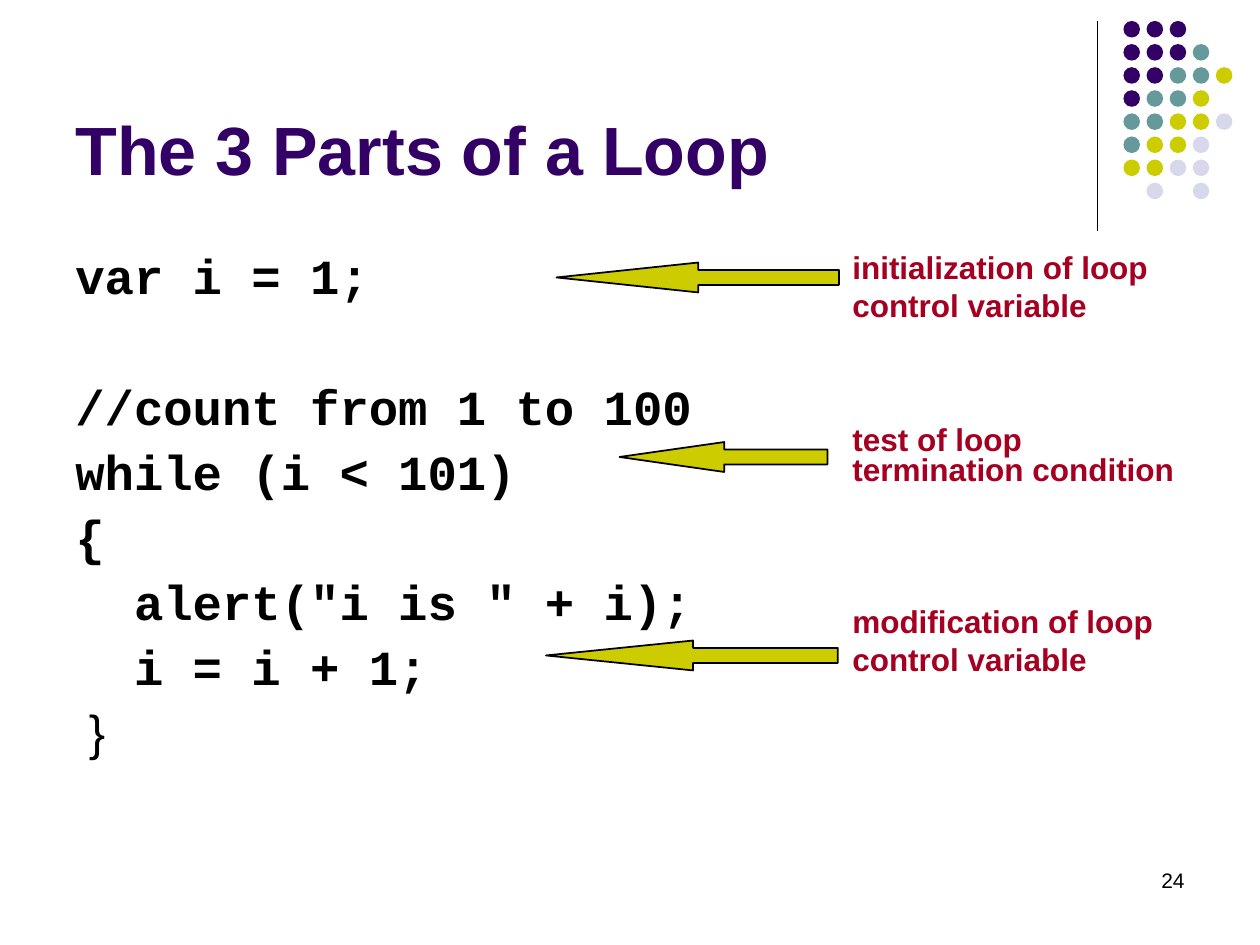
from lxml import etree
from pptx import Presentation
from pptx import util as u
from pptx.dml.color import RGBColor
from pptx.enum import shapes, text
from pptx.oxml.ns import qn

PURPLE, TEAL, OLIVE, PALE = "330066", "669999", "CCCC00", "D8D8EC"
BLACK, RED = "000000", "A50021"
SANS, MONO = "Arial", "Courier New"


def rgb(value):
    """Turn a hex string into a colour."""
    return RGBColor.from_string(value)


class Deck:
    """Draws on the current slide, on a grid of 120 columns by 90 rows."""

    def __init__(self):
        """Open a deck with one blank slide."""
        self.prs = Presentation()
        self.prs.slide_width, self.prs.slide_height = u.Inches(10), u.Inches(7.5)
        self.cell = self.prs.slide_width / 120
        self.s = self.prs.slides.add_slide(self.prs.slide_layouts[6])

    def grid(self, *cells):
        """Convert grid cells to lengths."""
        return [u.Emu(round(c * self.cell)) for c in cells]

    def rule(self, x1, y1, x2, y2):
        """Draw a thin straight line."""
        sp = self.s.shapes.add_connector(
            shapes.MSO_CONNECTOR.STRAIGHT, *self.grid(x1, y1, x2, y2))
        sp.line.color.rgb, sp.line.width = rgb(BLACK), u.Pt(0.75)
        etree.SubElement(sp._element.spPr, qn("a:effectLst"))

    def shape(self, parent, kind, box, fill):
        """Add a flat filled shape without an outline."""
        sp = parent.shapes.add_shape(kind, *self.grid(*box))
        sp.shadow.inherit = False
        sp.fill.solid()
        sp.fill.fore_color.rgb = rgb(fill)
        sp.line.fill.background()
        return sp

    def dots(self, x, y, pitch, size, rows):
        """Group a pattern of coloured dots."""
        colours = {"P": PURPLE, "T": TEAL, "O": OLIVE, "L": PALE}
        group = self.s.shapes.add_group_shape()
        for j, row in enumerate(rows):
            for i, key in enumerate(row):
                if key in colours:
                    box = (x + i * pitch, y + j * pitch, size, size)
                    self.shape(group, shapes.MSO_SHAPE.OVAL, box, colours[key])

    def arrow(self, x, y, w, head):
        """Add a left arrow with a long head."""
        sp = self.shape(self.s, shapes.MSO_SHAPE.LEFT_ARROW, (x, y, w, 2.85), OLIVE)
        sp.adjustments[0], sp.adjustments[1] = 0.5, head
        sp.line.color.rgb, sp.line.width = rgb(BLACK), u.Pt(1)

    def text(self, box, lines, size, colour=BLACK, bold=True, align="LEFT", anchor="TOP"):
        """Add a text box from (text, font, space before, line spacing) lines."""
        tf = self.s.shapes.add_textbox(*self.grid(*box)).text_frame
        tf.word_wrap = True
        tf.vertical_anchor = getattr(text.MSO_ANCHOR, anchor)
        for n, (words, font, before, spacing) in enumerate(lines):
            p = tf.add_paragraph() if n else tf.paragraphs[0]
            p.alignment = getattr(text.PP_ALIGN, align)
            p.space_before = u.Pt(before)
            if spacing:
                p.line_spacing = u.Pt(spacing)
            r = p.add_run()
            r.text = words
            r.font.name, r.font.size = font, u.Pt(size)
            r.font.bold = bold and words != " }"
            r.font.color.rgb = rgb(colour)


def main():
    """Build the slide and save it."""
    d = Deck()
    d.rule(104.5, 2, 104.5, 22)
    d.dots(107, 2, 2.2, 1.58, [
        "PPP", "PPPT", "PPTTO", "PTTO", "TTOOL", "TOOL", "OOLL", " L L"])
    d.text((86, 82, 28, 6), [("24", SANS, 0, None)], 12, bold=False, align="RIGHT")
    d.text((6, 1.6, 99, 17), [("The 3 Parts of a Loop", SANS, 0, None)], 39,
           PURPLE, anchor="BOTTOM")
    d.text((6, 23.4, 66, 56), [
        ("var i = 1;", MONO, 0, 30.2),
        ("//count from 1 to 100", MONO, 44.2, 30.2),
        ("while (i < 101)", MONO, 7, 30.2),
        ("{", MONO, 7, 30.2),
        ('  alert("i is " + i);', MONO, 7, 30.2),
        ("  i = i + 1;", MONO, 7, 30.2),
        (" }", SANS, 7, 30.2)], 28)
    for x, y, w, head in [(53, 25, 26.9, 4.74), (59, 42.1, 19.8, 3.5), (52, 61, 27.8, 4.92)]:
        d.arrow(x, y, w, head)
    d.text((80, 23, 35, 47.6), [
        ("initialization of loop control variable", SANS, 0, 21.7),
        ("test of loop termination condition", SANS, 59.4, 17.2),
        ("modification of loop control variable", SANS, 65.1, 21.7)], 18, RED)
    d.prs.save("out.pptx")


if __name__ == "__main__":
    main()
